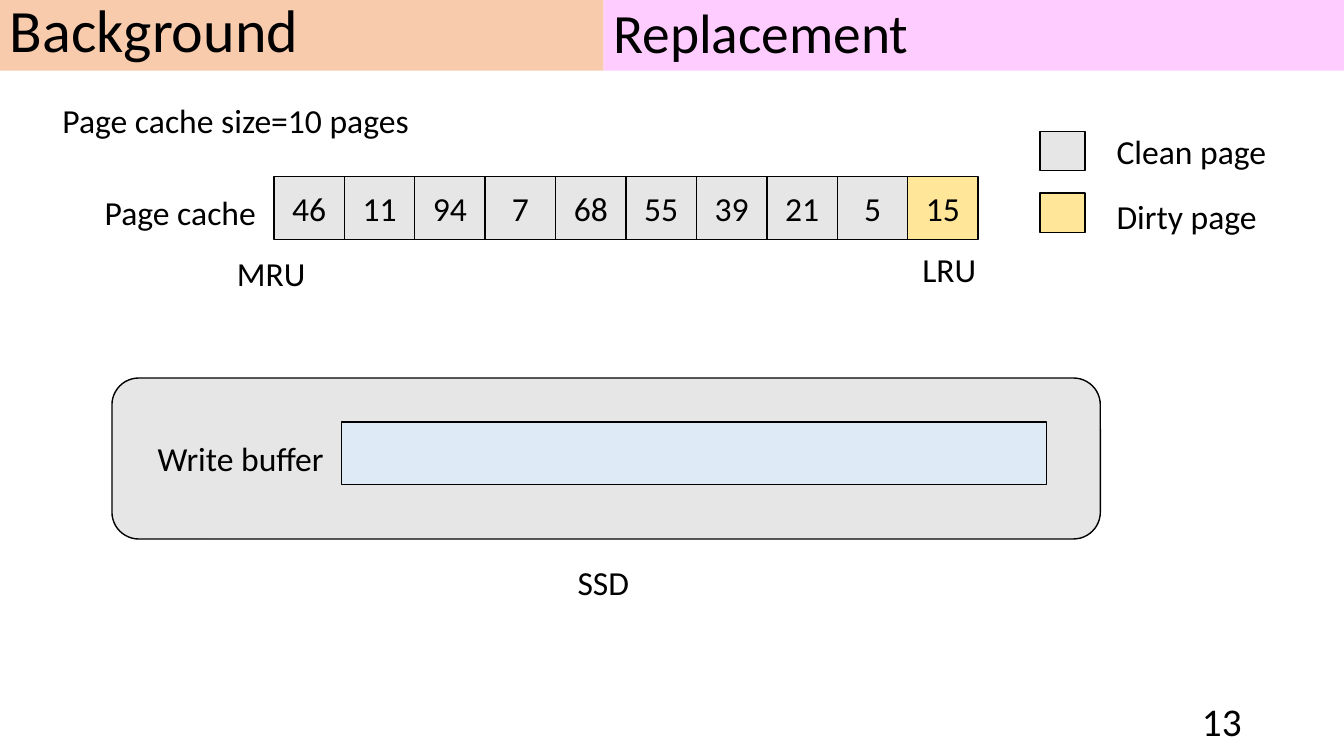
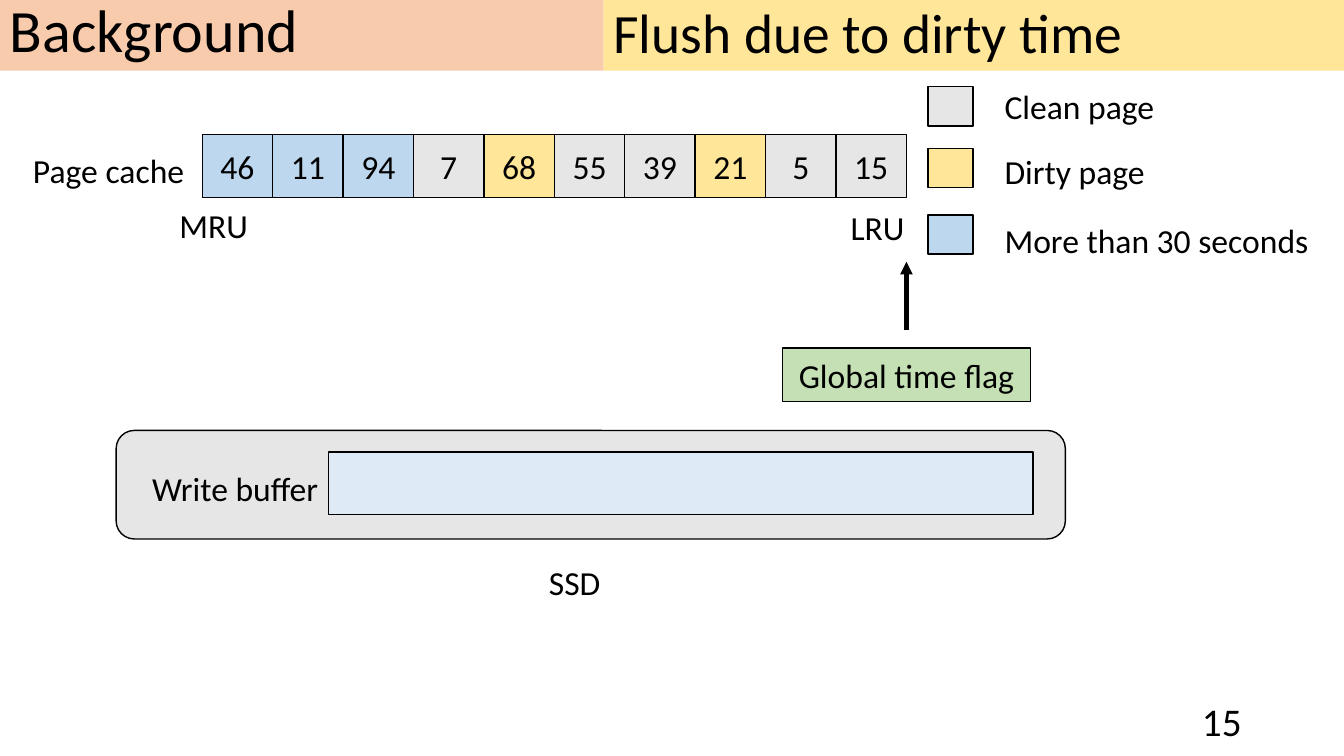
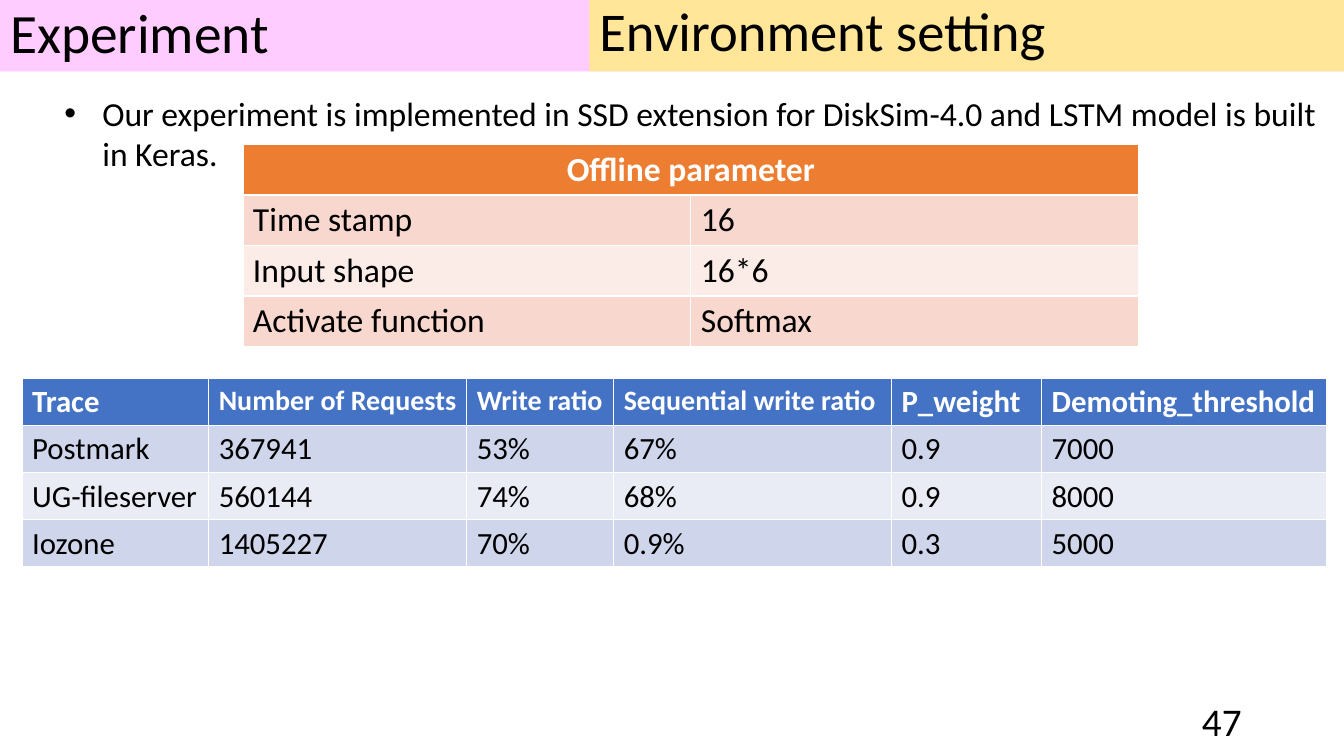
from lxml.etree import SubElement
from pptx import Presentation
from pptx.dml.color import RGBColor
from pptx.enum.shapes import MSO_CONNECTOR, MSO_SHAPE
from pptx.enum.text import MSO_ANCHOR, MSO_AUTO_SIZE, PP_ALIGN
from pptx.oxml.ns import qn
from pptx.util import Pt

BLACK = RGBColor(0x00, 0x00, 0x00)
WHITE = RGBColor(0xFF, 0xFF, 0xFF)
GREY = RGBColor(0xE7, 0xE6, 0xE6)
GOLD = RGBColor(0xFF, 0xE6, 0x99)
BLUE = RGBColor(0xBD, 0xD7, 0xEE)
PALE = RGBColor(0xDE, 0xEB, 0xF7)
GREEN = RGBColor(0xC5, 0xE0, 0xB4)
PINK = RGBColor(0xFF, 0xCC, 0xFF)
PEACH = RGBColor(0xF8, 0xCB, 0xAD)
NAVY = RGBColor(0x44, 0x72, 0xC4)
NAVY_ROWS = RGBColor(0xCF, 0xD5, 0xEA), RGBColor(0xE9, 0xEB, 0xF5)
RUST = RGBColor(0xED, 0x7D, 0x31)
RUST_ROWS = RGBColor(0xF8, 0xD7, 0xCE), RGBColor(0xFC, 0xEC, 0xE8)

FONT = "Calibri"
WIDE, HIGH = 960, 540
CELL_W, CELL_H = 50.3, 45
BUF_W, BUF_H = 503.5, 44.5
SPLIT, BAND_H = 431, 50.5
PAGES = (46, 11, 94, 7, 68, 55, 39, 21, 5, 15)
KEYS = (
    ("Clean page", GREY, 0, -4),
    ("Dirty page", GOLD, 44, 42.5),
    ("More than 30 seconds", BLUE, 91.5, 91.5),
)


def style(frame, size=24, color=BLACK, bold=False, align=PP_ALIGN.LEFT):
    """Format every paragraph and run of a text frame."""
    for para in frame.paragraphs:
        para.alignment = align
        for run in para.runs:
            font = run.font
            font.name, font.size, font.bold = FONT, Pt(size), bold
            font.color.rgb = color


def block(slide, box, fill, text="", kind=MSO_SHAPE.RECTANGLE):
    """Draw a black-edged shape with centred text."""
    shape = slide.shapes.add_shape(kind, *map(Pt, box))
    shape.shadow.inherit = False
    shape.fill.solid()
    shape.fill.fore_color.rgb = fill
    shape.line.color.rgb = BLACK
    shape.line.width = Pt(1)
    if text:
        frame = shape.text_frame
        frame.margin_left = frame.margin_right = 0
        frame.text = text
        frame.vertical_anchor = MSO_ANCHOR.MIDDLE
        style(frame, align=PP_ALIGN.CENTER)


def label(slide, x, y, w, text, h=36):
    """Place plain text and return its shape."""
    shape = slide.shapes.add_textbox(Pt(x), Pt(y), Pt(w), Pt(h))
    shape.text_frame.word_wrap = True
    shape.text_frame.text = text
    style(shape.text_frame)
    return shape


def band(shape, box, text, fill, size=39.6, space=0.9):
    """Turn a text shape into a coloured heading band."""
    shape.left, shape.top, shape.width, shape.height = map(Pt, box)
    shape.fill.solid()
    shape.fill.fore_color.rgb = fill
    frame = shape.text_frame
    frame.text = text
    frame.word_wrap = True
    frame.auto_size = MSO_AUTO_SIZE.NONE
    frame.vertical_anchor = MSO_ANCHOR.MIDDLE
    frame.paragraphs[0].line_spacing = space
    style(frame, size)


def start(deck, number):
    """Add a title-only slide with its page number."""
    slide = deck.slides.add_slide(deck.slide_layouts[5])
    frame = label(slide, 678, 500.5, 216, str(number), 29).text_frame
    frame.vertical_anchor = MSO_ANCHOR.MIDDLE
    style(frame, 28, align=PP_ALIGN.RIGHT)
    return slide


def topic(deck, number, text, fill):
    """Add a background slide with its two heading bands."""
    slide = start(deck, number)
    band(slide.shapes.title, (SPLIT, 0, WIDE - SPLIT, BAND_H), text, fill)
    left = label(slide, 0, 0, SPLIT, "")
    band(left, (0, -0.5, SPLIT, 51), "Background", PEACH, 42.9, 0.8)
    return slide


def cache(slide, x, y, fills, mru):
    """Draw the page cache row with its labels."""
    for i, page in enumerate(PAGES):
        box = x + i * CELL_W, y, CELL_W, CELL_H
        block(slide, box, fills.get(page, GREY), str(page))
    label(slide, x - 128, y + 7.5, 127, "Page cache")
    label(slide, x + mru[0], y + mru[1], 73, "MRU")
    label(slide, x + 456, y + 48.5, 57, "LRU")


def legend(slide, x, y, keys):
    """Draw colour swatches with their names."""
    for text, fill, drop, shift in keys:
        block(slide, (x, y + drop, 32, 28), fill)
        label(slide, x + 47.5, y + shift, 235, text)


def drive(slide, box, inset, gap, mid):
    """Draw the SSD with its write buffer."""
    x, y, w, h = box
    block(slide, box, GREY, kind=MSO_SHAPE.ROUNDED_RECTANGLE)
    bx, by = x + inset[0], y + inset[1]
    block(slide, (bx, by, BUF_W, BUF_H), PALE)
    label(slide, bx - gap, by + 8, 137, "Write buffer")
    label(slide, x + mid, y + h + 12.5, 66, "SSD")


def arrow(slide, x, y, end):
    """Draw a thick vertical arrow."""
    line = slide.shapes.add_connector(
        MSO_CONNECTOR.STRAIGHT, Pt(x), Pt(y), Pt(x), Pt(end))
    line.line.color.rgb = BLACK
    line.line.width = Pt(3)
    SubElement(line.line._get_or_add_ln(), qn("a:tailEnd"), type="triangle")
    SubElement(line._element.spPr, qn("a:effectLst"))


def grid(slide, x, y, cols, high, rows, head, fills, sizes, size):
    """Draw a table with a bold heading row and banded body."""
    table = slide.shapes.add_table(
        len(rows), len(cols), Pt(x), Pt(y),
        Pt(sum(cols)), Pt(high * len(rows))).table
    for col, w in zip(table.columns, cols):
        col.width = Pt(w)
    for r, row in enumerate(rows):
        table.rows[r].height = Pt(high)
        for c, text in enumerate(row):
            cell = table.cell(r, c)
            cell.fill.solid()
            cell.fill.fore_color.rgb = fills[(r - 1) % 2] if r else head
            cell.text_frame.text = text
            if r:
                style(cell.text_frame, size)
            else:
                style(cell.text_frame, sizes[c], WHITE, True)
    return table


def swap(deck):
    """Build the replacement slide."""
    slide = topic(deck, 13, "Replacement", PINK)
    label(slide, 37.5, 67.5, 264, "Page cache size=10 pages")
    cache(slide, 195.7, 126, {15: GOLD}, (-33.5, 51))
    legend(slide, 743, 94, KEYS[:2])
    drive(slide, (80, 270, 706, 115), (164, 31.5), 138.5, 325.5)


def flush(deck):
    """Build the dirty time slide."""
    slide = topic(deck, 15, "Flush due to dirty time", GOLD)
    fills = {46: BLUE, 11: BLUE, 94: BLUE, 68: GOLD, 21: GOLD}
    cache(slide, 144.5, 96, fills, (-23.5, 46.5))
    legend(slide, 663, 62, KEYS)
    block(slide, (559, 248.5, 177, 38.5), GREEN, "Global time flag")
    arrow(slide, 647.5, 236, 187)
    drive(slide, (83, 307.5, 678, 77.5), (151.5, 15.5), 133, 302)


def setup(deck):
    """Build the experiment slide with its two tables."""
    slide = start(deck, 47)
    band(slide.shapes.title, (0, 0, WIDE, 51), "Experiment", PINK)
    right = label(slide, 0, 0, 100, "")
    band(right, (421, -2, WIDE - 421, 53), "Environment setting", GOLD, 39)
    rows = (
        ("Trace", "Number of Requests", "Write ratio",
         "Sequential write ratio", "P_weight", "Demoting_threshold"),
        ("Postmark", "367941", "53%", "67%", "0.9", "7000"),
        ("UG-fileserver", "560144", "74%", "68%", "0.9", "8000"),
        ("Iozone", "1405227", "70%", "0.9%", "0.3", "5000"),
    )
    cols = 133.3, 184.3, 105, 198.5, 107.2, 203.7
    grid(slide, 15.8, 270.3, cols, 33.7, rows, NAVY, NAVY_ROWS,
         (22, 20, 20, 20, 22, 22), 22)
    note = label(
        slide, 39, 62.5, 908.5,
        "Our experiment is implemented in SSD extension for DiskSim-4.0 "
        "and LSTM model is built in Keras.", 65.5)
    props = note.text_frame.paragraphs[0]._p.get_or_add_pPr()
    props.set("marL", str(Pt(27)))
    props.set("indent", str(-Pt(27)))
    SubElement(props, qn("a:buFont"), typeface="Arial")
    SubElement(props, qn("a:buChar"), char="•")
    rows = (
        ("Offline parameter", ""),
        ("Time stamp", "16"),
        ("Input shape", "16*6"),
        ("Activate function", "Softmax"),
    )
    table = grid(slide, 173.5, 103.3, (320, 320), 36, rows, RUST, RUST_ROWS,
                 (24, 24), 24)
    table.cell(0, 0).merge(table.cell(0, 1))
    table.cell(0, 0).text_frame.paragraphs[0].alignment = PP_ALIGN.CENTER


def main():
    """Build and save the deck."""
    deck = Presentation()
    deck.slide_width, deck.slide_height = Pt(WIDE), Pt(HIGH)
    swap(deck)
    flush(deck)
    setup(deck)
    deck.save("out.pptx")


if __name__ == "__main__":
    main()
